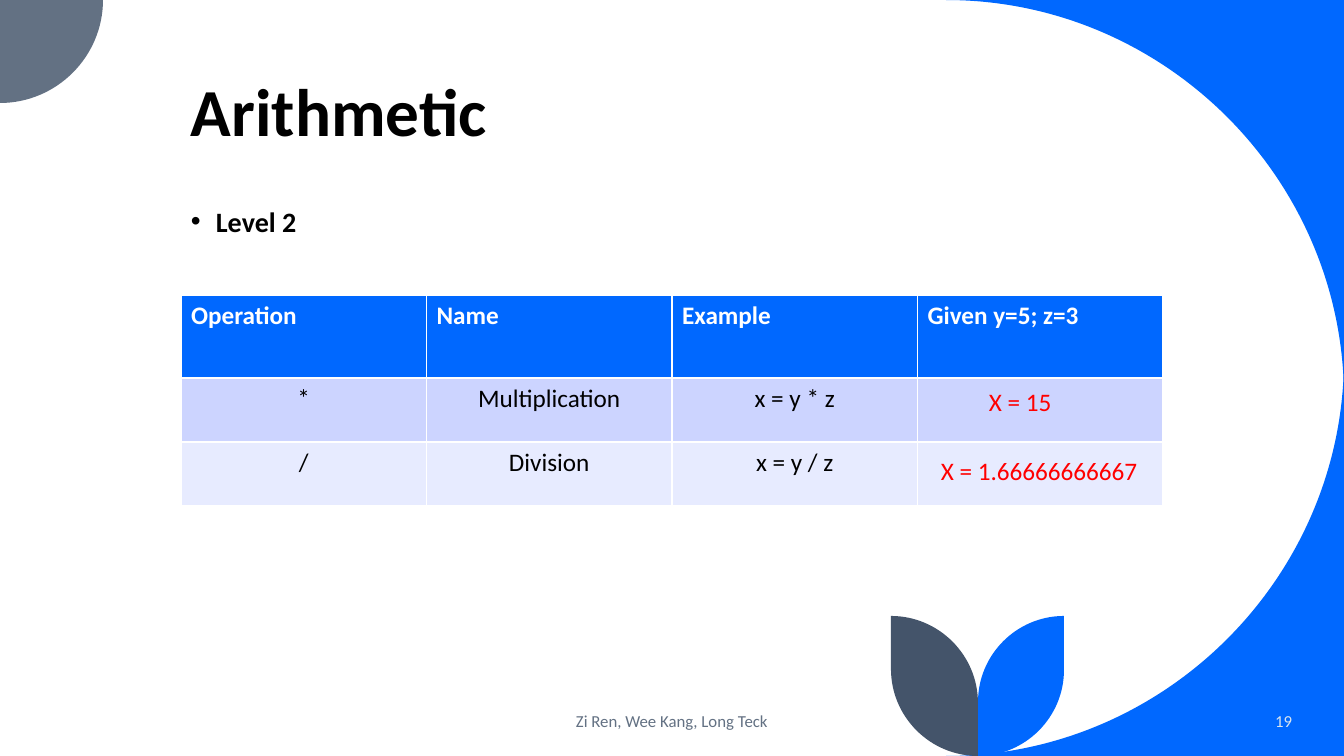
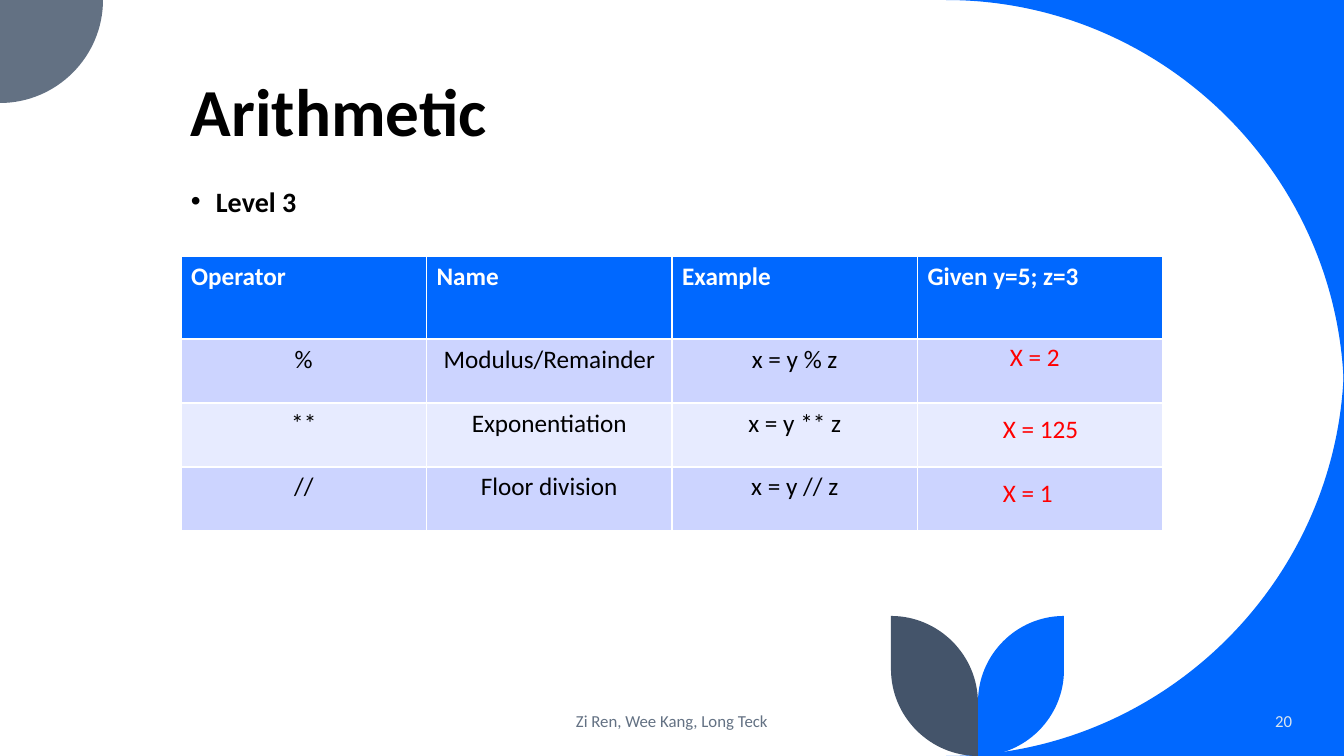
from lxml.etree import SubElement
from pptx import Presentation
from pptx.dml.color import RGBColor
from pptx.enum.text import MSO_ANCHOR, PP_ALIGN
from pptx.oxml.ns import qn
from pptx.util import Pt

WIDTH, HEIGHT = 1344, 756
EMU_PER_PX = 12192000 / WIDTH
ARC_PULL = 0.55
FONT = "Calibri"
BLUE, NAVY, SLATE, PALE = "0068FF", "44546A", "637183", "DAE5EF"
WHITE, BLACK, RED = "FFFFFF", "000000", "FF0000"
BANDS = ["CCD4FF", "E7EBFF"]

CONTENT_LEFT, TABLE_WIDTH = 181, 982
HEADER_HEIGHT, ROW_HEIGHT = 83, 64
AUTHORS = "Zi Ren, Wee Kang, Long Teck"

LESSONS = [
    {
        "number": "19",
        "level": "Level 2",
        "level_top": 203,
        "table_top": 295,
        "rows": [
            ["Operation", "Name", "Example", "Given y=5; z=3"],
            ["*", "Multiplication", "x = y * z", ""],
            ["/", "Division", "x = y / z", ""],
        ],
        "answers": [("X = 15", 979, 381), ("X = 1.66666666667", 931, 450)],
    },
    {
        "number": "20",
        "level": "Level 3",
        "level_top": 183,
        "table_top": 256,
        "rows": [
            ["Operator", "Name", "Example", "Given y=5; z=3"],
            ["%", "Modulus/Remainder", "x = y % z", ""],
            ["**", "Exponentiation", "x = y ** z", ""],
            ["//", "Floor division", "x = y // z", ""],
        ],
        "answers": [("X = 2", 1000, 336), ("X = 125", 993, 408), ("X = 1", 993, 472)],
    },
]


def px(value):
    return round(value * EMU_PER_PX)


def color(value):
    return RGBColor.from_string(value)


def write_text(text_frame, text, size=18, fill=BLACK, bold=False,
               align=PP_ALIGN.LEFT, spacing=None, bullet=False):
    paragraph = text_frame.paragraphs[0]
    paragraph.alignment = align
    if spacing:
        paragraph.line_spacing = spacing
    if bullet:
        properties = paragraph._p.get_or_add_pPr()
        properties.set("marL", str(px(25)))
        properties.set("indent", str(-px(25)))
        SubElement(properties, qn("a:buFont")).set("typeface", "Arial")
        SubElement(properties, qn("a:buChar")).set("char", "•")
    run = paragraph.add_run()
    run.text = text
    run.font.name = FONT
    run.font.size = Pt(size)
    run.font.bold = bold
    run.font.color.rgb = color(fill)


def add_text(slide, text, left, top, width, height, anchor=MSO_ANCHOR.TOP, **text_format):
    box = slide.shapes.add_textbox(px(left), px(top), px(width), px(height))
    box.text_frame.word_wrap = True
    box.text_frame.vertical_anchor = anchor
    write_text(box.text_frame, text, **text_format)


def quarter_arc(start, corner, end):
    def pull(point):
        return tuple(a + (b - a) * ARC_PULL for a, b in zip(point, corner))

    return [pull(start), pull(end), end]


def add_outline(slide, start, segments, fill):
    points = [(px(x), px(y)) for segment in segments for x, y in segment]
    builder = slide.shapes.build_freeform(px(start[0]), px(start[1]))
    builder.add_line_segments(points, close=True)
    shape = builder.convert_to_shape()
    lines = iter(list(shape._element.iter(qn("a:lnTo"))))
    for segment in segments:
        pieces = [next(lines) for _ in segment]
        if len(pieces) == 3:
            curve = pieces[0].makeelement(qn("a:cubicBezTo"))
            pieces[0].addprevious(curve)
            for piece in pieces:
                curve.append(piece[0])
                piece.getparent().remove(piece)
    shape.shadow.inherit = False
    shape.fill.solid()
    shape.fill.fore_color.rgb = color(fill)
    shape.line.fill.background()


def add_corner(slide, corner, start, arc_corner, end, fill):
    add_outline(slide, corner, [[start], quarter_arc(start, arc_corner, end)], fill)


def add_leaf(slide, outer, stem, top, fill):
    radius = abs(stem - outer)
    shoulder, bend = (outer, HEIGHT - radius), (stem, top + radius)
    tip, foot = (outer, top), (stem, HEIGHT)
    add_outline(slide, tip, [
        [shoulder],
        quarter_arc(shoulder, (outer, HEIGHT), foot),
        [bend],
        quarter_arc(bend, (stem, top), tip),
    ], fill)


def add_decoration(slide):
    radius = 398
    for edge, side in ((0, radius), (HEIGHT, HEIGHT - radius)):
        add_corner(slide, (WIDTH, edge), (WIDTH - radius, edge), (WIDTH, edge),
                   (WIDTH, side), BLUE)
    add_corner(slide, (0, 0), (103, 0), (103, 103), (0, 103), SLATE)
    add_leaf(slide, 1064, 978, 616, BLUE)
    add_leaf(slide, 891, 978, 616, NAVY)


def format_cell(cell, text, row_index):
    if row_index == 0:
        fill, text_format = BLUE, {"fill": WHITE, "bold": True}
    else:
        fill, text_format = BANDS[(row_index - 1) % 2], {"align": PP_ALIGN.CENTER}
    cell.fill.solid()
    cell.fill.fore_color.rgb = color(fill)
    if text:
        write_text(cell.text_frame, text, **text_format)


def add_operator_table(slide, rows, top):
    columns = len(rows[0])
    height = HEADER_HEIGHT + ROW_HEIGHT * (len(rows) - 1)
    table = slide.shapes.add_table(len(rows), columns, px(CONTENT_LEFT), px(top),
                                   px(TABLE_WIDTH), px(height)).table
    for row_index, texts in enumerate(rows):
        table.rows[row_index].height = px(ROW_HEIGHT if row_index else HEADER_HEIGHT)
        for column_index, text in enumerate(texts):
            format_cell(table.cell(row_index, column_index), text, row_index)


def add_lesson(presentation, lesson):
    slide = presentation.slides.add_slide(presentation.slide_layouts[6])
    add_decoration(slide)
    add_text(slide, AUTHORS, 445, 701, 454, 40, anchor=MSO_ANCHOR.MIDDLE,
             size=12, fill=SLATE, align=PP_ALIGN.CENTER)
    add_text(slide, lesson["number"], 1120, 701, 182, 40, anchor=MSO_ANCHOR.MIDDLE,
             size=12, fill=PALE, align=PP_ALIGN.RIGHT)
    add_operator_table(slide, lesson["rows"], lesson["table_top"])
    add_text(slide, lesson["level"], CONTENT_LEFT, lesson["level_top"], 448, 40,
             size=20, bold=True, spacing=0.9, bullet=True)
    add_text(slide, "Arithmetic", CONTENT_LEFT, 0, 1078, 156, anchor=MSO_ANCHOR.BOTTOM,
             size=48, bold=True, spacing=0.9)
    for text, left, top in lesson["answers"]:
        add_text(slide, text, left, top, 302, 40, fill=RED)


def main():
    presentation = Presentation()
    presentation.slide_width = px(WIDTH)
    presentation.slide_height = px(HEIGHT)
    for lesson in LESSONS:
        add_lesson(presentation, lesson)
    presentation.save("out.pptx")


if __name__ == "__main__":
    main()
